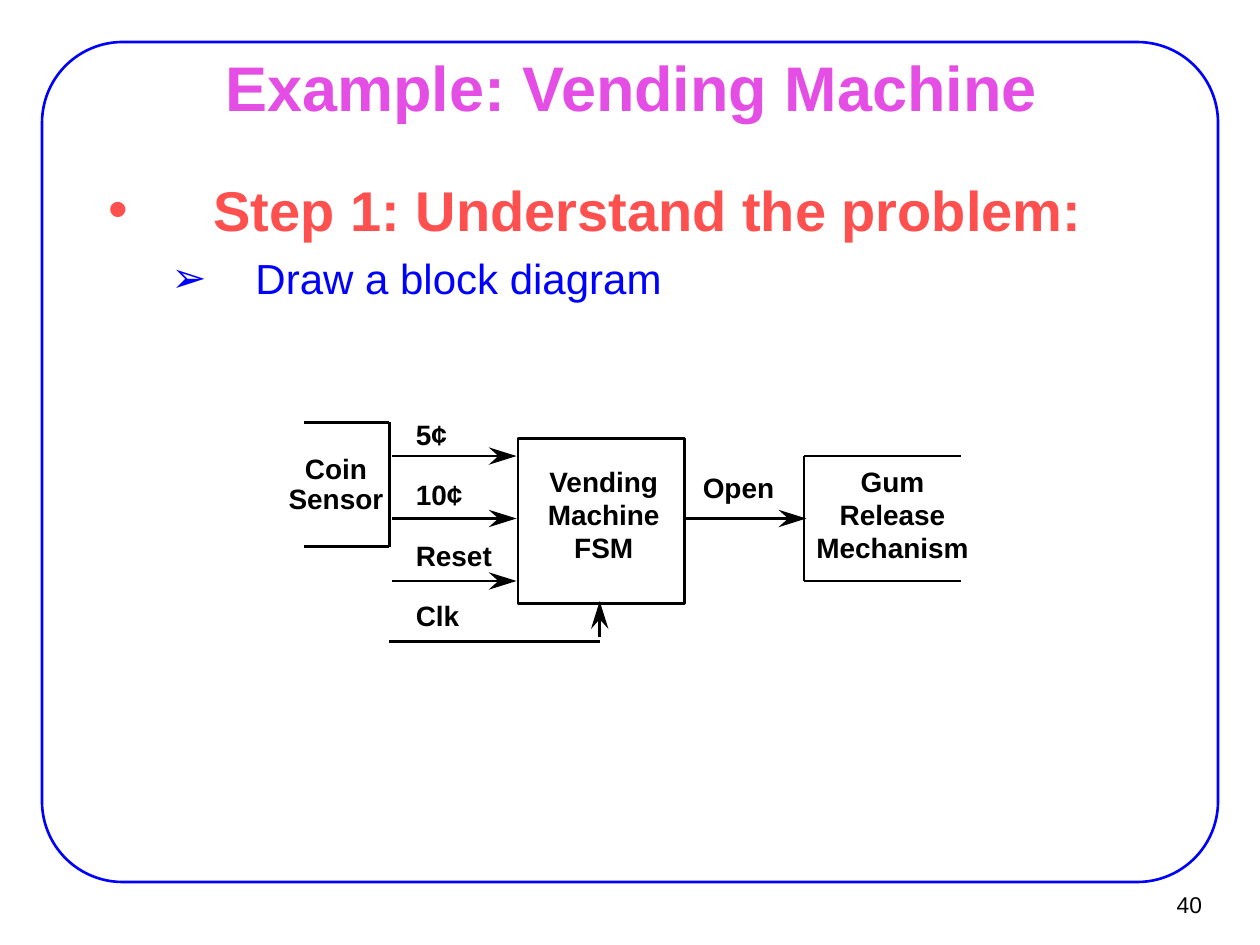
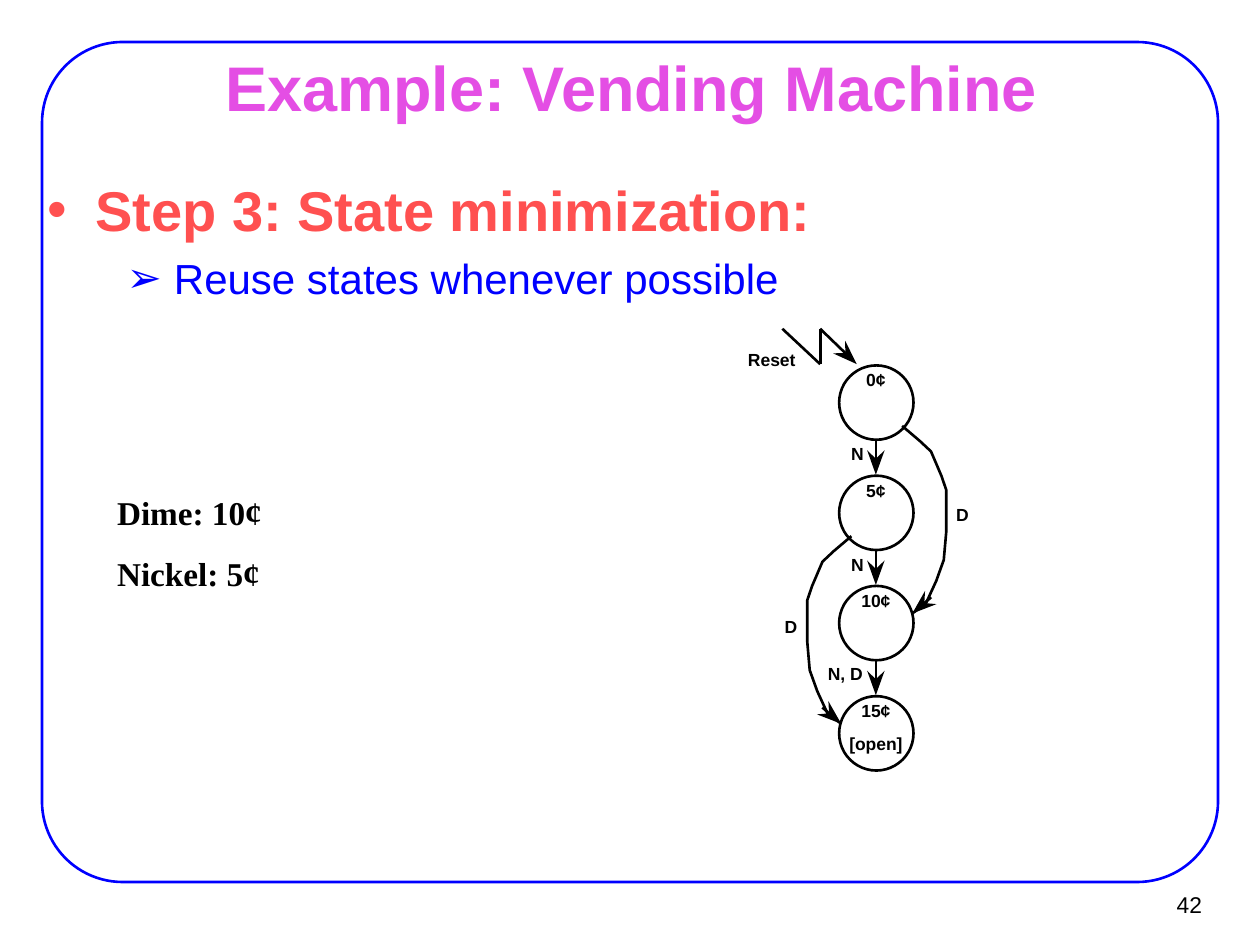
import math

import pptx
import pptx.util
import pptx.dml.color
import pptx.enum.shapes
import pptx.enum.text
import pptx.oxml.ns
import lxml.etree

Pt = pptx.util.Pt
qn = pptx.oxml.ns.qn
shape_kind = pptx.enum.shapes.MSO_SHAPE
align = pptx.enum.text.PP_ALIGN
anchor = pptx.enum.text.MSO_ANCHOR
COLORS = {"black": "000000", "white": "FFFFFF", "blue": "0000FF", "title": "E44EE4", "step": "FF5050"}
RGB = {name: pptx.dml.color.RGBColor.from_string(code) for name, code in COLORS.items()}

signal_rows = [260.6 + 35.7 * row for row in range(3)]
sensor_edge, release_edge = 222.5, 459.4
clock_x = 342.7
brackets = [(sensor_edge, 174, 241.2, 312.5), (release_edge, 549.4, signal_rows[0], signal_rows[2])]
bracket_lines = [(edge, top, edge, bottom) for edge, end, top, bottom in brackets]
for edge, end, top, bottom in brackets:
    bracket_lines += [(edge, y, end, y) for y in (top, bottom)]

state_step = 63
state_tops = [208.8 + state_step * state for state in range(4)]
state_x = 500.5
dime_right = [(515.5, 243.4), (525.6, 252), (532, 258), (538, 272), (540.7, 280),
              (540.7, 304), (539.3, 320), (535, 332), (529, 345), (521.3, 350.6)]
dime_left = [(2 * state_x + 1 - x, y + state_step) for x, y in dime_right]
dime_arrows = [(tip_x + side * 10.8, tip_y - 9.3, tip_x, tip_y)
               for side, (tip_x, tip_y) in ((1, dime_right[-1]), (-1, dime_left[-1]))]

PAGES = [
    {
        "number": "40",
        "body": (54, 365.8),
        "step": ("Step 1: Understand the problem:", 60, -60),
        "detail": ("Draw a block diagram", 84, -48),
        "weight": 1.62,
        "head": 16,
        "label_size": 16,
        "blocks": [(shape_kind.RECTANGLE, 296, 250.5, 95, 94.5)],
        "lines": bracket_lines + [(sensor_edge, 366.5, clock_x, 366.5)],
        "arrows": [(224, y, 295.2, y) for y in signal_rows]
        + [(390.2, signal_rows[1], 460.8, signal_rows[1]), (clock_x, 364.3, clock_x, 343.5)],
        "curves": [],
        "labels": [
            (align.CENTER, 345, 265.7, 18.7, ["Vending", "Machine", "FSM"]),
            (align.LEFT, 237.6, 238.3, 34.6, ["5¢", "10¢", "Reset", "Clk"]),
            (align.CENTER, 422, 268.6, 0, ["Open"]),
            (align.CENTER, 192, 257.8, 17.3, ["Coin", "Sensor"]),
            (align.CENTER, 510, 265.7, 18.7, ["Gum", "Release", "Mechanism"]),
        ],
        "coins": [],
    },
    {
        "number": "42",
        "body": (19.4, 139.7),
        "step": ("Step 3: State minimization:", 27, -27),
        "detail": ("Reuse states whenever possible", 72, -27),
        "weight": 1.5,
        "head": 14,
        "label_size": 10,
        "blocks": [(shape_kind.OVAL, 479.5, top, 42.5, 42.5) for top in state_tops],
        "lines": [(447.1, 187.9, 468.7, 208.1), (468.7, 208.1, 468.7, 187.9)],
        "arrows": [(468.7, 187.9, 489.6, 208.1)]
        + [(state_x, top + 42, state_x, top + 62.5) for top in state_tops[:3]]
        + dime_arrows,
        "curves": [dime_right, dime_left],
        "labels": [
            (align.CENTER, 441, 199.4, 0, ["Reset"]),
            (align.CENTER, 490, 253.4, state_step, ["N", "N"]),
            (align.CENTER, 483, 378.7, 0, ["N, D"]),
            (align.CENTER, state_x, 211, state_step, ["0¢", "5¢", "10¢", "15¢"]),
            (align.CENTER, state_x, 419, 0, ["[open]"]),
            (align.CENTER, 550, 288, 0, ["D"]),
            (align.CENTER, 452, 352, 0, ["D"]),
        ],
        "coins": ["Dime: 10¢", "Nickel: 5¢"],
    },
]


def add_run(para, text, size, color, bold=False, font="Arial"):
    span = para.add_run()
    span.text = text
    span.font.name = font
    span.font.size = Pt(size)
    span.font.bold = bold
    span.font.color.rgb = RGB[color]


def set_frame(box, side, edge, wrap=True, position=anchor.TOP):
    frame = box.text_frame
    frame.auto_size = pptx.enum.text.MSO_AUTO_SIZE.NONE
    frame.word_wrap = wrap
    frame.vertical_anchor = position
    frame.margin_left = frame.margin_right = Pt(side)
    frame.margin_top = frame.margin_bottom = Pt(edge)
    return frame


deck = pptx.Presentation()
deck.slide_width, deck.slide_height = Pt(720), Pt(540)
layout = deck.slide_layouts[1]

for spec in PAGES:
    page = deck.slides.add_slide(layout)
    shapes = page.shapes

    if spec is PAGES[0]:
        border = shapes.add_shape(shape_kind.ROUNDED_RECTANGLE, Pt(24), Pt(24), Pt(672), Pt(480))
        border.adjustments[0] = 0.096
        border.shadow.inherit = False
        border.fill.background()
        border.line.color.rgb = RGB["blue"]
        border.line.width = Pt(1.5)
        layout.shapes._spTree.insert(2, border._element)

    number = shapes.add_textbox(Pt(649.4), Pt(503.3), Pt(43.9), Pt(26.6))
    para = set_frame(number, 6.5, 3, False, anchor.MIDDLE).paragraphs[0]
    para.alignment = align.RIGHT
    add_run(para, spec["number"], 13, "black")

    title = shapes.title
    title.left, title.top, title.width, title.height = Pt(54.7), Pt(31.7), Pt(612), Pt(35.3)
    para = set_frame(title, 8, 4.3, True, anchor.MIDDLE).paragraphs[0]
    para.alignment = align.CENTER
    add_run(para, "Example: Vending Machine", 36, "title", True)

    body = page.placeholders[1]
    body_left, body_height = spec["body"]
    body.left, body.top, body.width, body.height = Pt(body_left), Pt(95.8), Pt(612), Pt(body_height)
    frame = set_frame(body, 8, 4.3)
    levels = [("step", "•", 32, "step", 8), ("detail", "➢", 24, "blue", 6)]
    for level, (key, bullet, size, color, gap) in enumerate(levels):
        text, margin, indent = spec[key]
        para = frame.add_paragraph() if level else frame.paragraphs[0]
        para.level = level
        para.space_before = Pt(gap)
        add_run(para, text, size, color, level == 0)
        settings = para._p.get_or_add_pPr()
        settings.set("marL", str(Pt(margin)))
        settings.set("indent", str(Pt(indent)))
        tint = lxml.etree.SubElement(settings, qn("a:buClr"))
        lxml.etree.SubElement(tint, qn("a:srgbClr"), val=COLORS[color])
        lxml.etree.SubElement(settings, qn("a:buChar"), char=bullet)

    if spec["coins"]:
        frame = set_frame(shapes.add_textbox(Pt(59.8), Pt(277.9), Pt(209.5), Pt(64.8)), 7.2, 3.6)
        for index, coin in enumerate(spec["coins"]):
            para = frame.add_paragraph() if index else frame.paragraphs[0]
            para.space_before = Pt(11.9)
            add_run(para, coin, 19, "black", True, "Times New Roman")

    for kind, *place in spec["blocks"]:
        block = shapes.add_shape(kind, *[Pt(length) for length in place])
        block.shadow.inherit = False
        block.fill.solid()
        block.fill.fore_color.rgb = RGB["white"]
        block.line.color.rgb = RGB["black"]
        block.line.width = Pt(spec["weight"])

    lines = list(spec["lines"])
    outlines = [(curve, False) for curve in spec["curves"]]
    length = spec["head"]
    for tail_x, tail_y, tip_x, tip_y in spec["arrows"]:
        reach = math.hypot(tip_x - tail_x, tip_y - tail_y)
        across, down = (tip_x - tail_x) / reach, (tip_y - tail_y) / reach
        back_x, back_y = tip_x - length * across, tip_y - length * down
        notch = (tip_x - 0.65 * length * across, tip_y - 0.65 * length * down)
        wings = [(back_x - side * down, back_y + side * across) for side in (5, -5)]
        lines.append((tail_x, tail_y, *notch))
        outlines.append(([(tip_x, tip_y), wings[0], notch, wings[1]], True))

    for ends in lines:
        line = shapes.add_connector(pptx.enum.shapes.MSO_CONNECTOR.STRAIGHT, *[Pt(end) for end in ends])
        line.line.color.rgb = RGB["black"]
        line.line.width = Pt(spec["weight"])
        lxml.etree.SubElement(line._element.spPr, qn("a:effectLst"))

    for points, is_head in outlines:
        corners = [(Pt(x), Pt(y)) for x, y in points]
        builder = shapes.build_freeform(*corners[0])
        builder.add_line_segments(corners[1:], close=is_head)
        outline = builder.convert_to_shape()
        outline.shadow.inherit = False
        if is_head:
            outline.fill.solid()
            outline.fill.fore_color.rgb = RGB["black"]
            outline.line.fill.background()
        else:
            outline.fill.background()
            outline.line.color.rgb = RGB["black"]
            outline.line.width = Pt(spec["weight"])

    size = spec["label_size"]
    for side, x, top, step, texts in spec["labels"]:
        for row, text in enumerate(texts):
            width = 0.6 * size * len(text)
            left = x - width / 2 if side == align.CENTER else x
            label = shapes.add_textbox(Pt(left), Pt(top + step * row), Pt(width), Pt(1.2 * size))
            para = set_frame(label, 0, 0, False).paragraphs[0]
            para.alignment = side
            add_run(para, text, size, "black", True)

deck.save("out.pptx")
